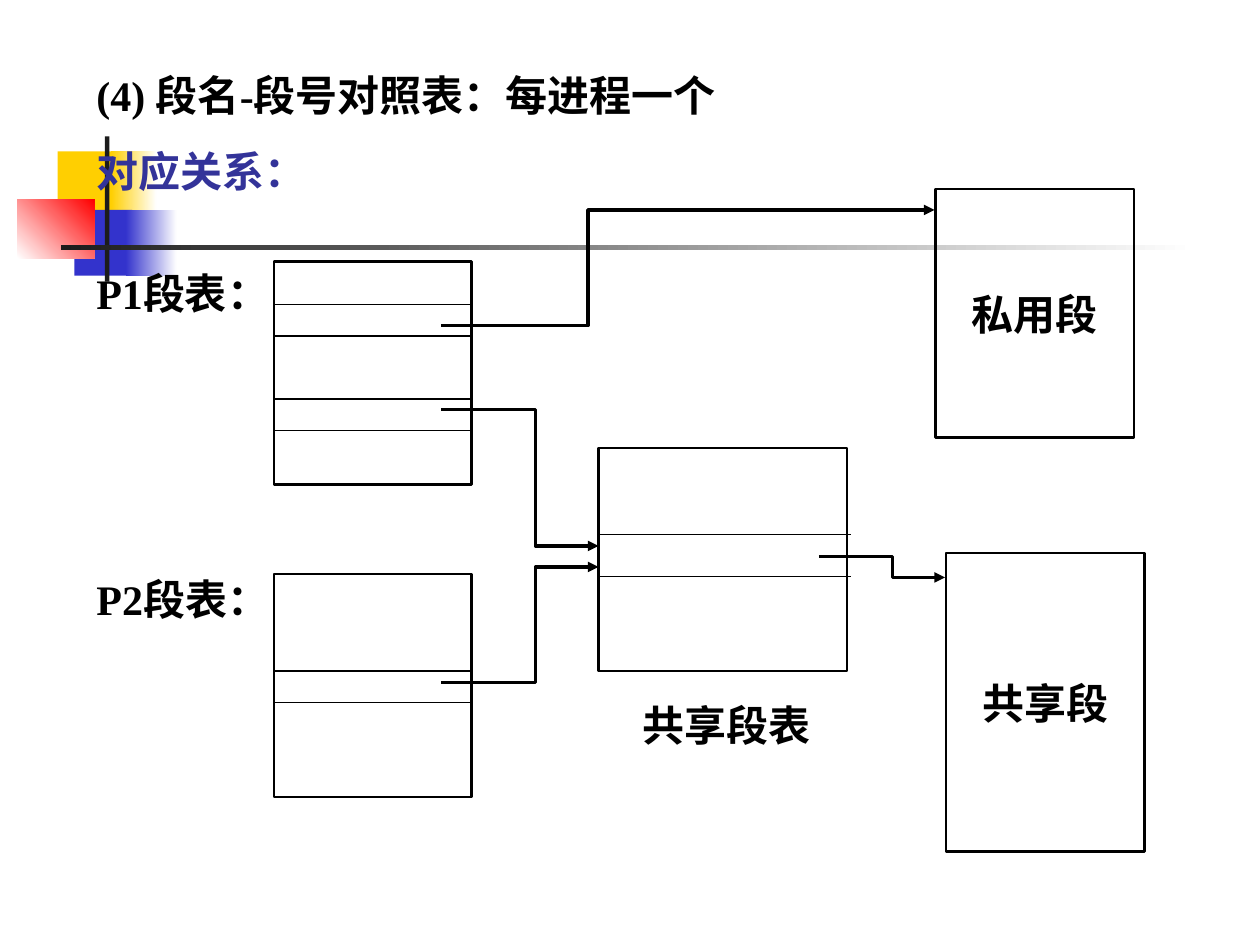
from dataclasses import dataclass

from lxml import etree
from pptx import Presentation
from pptx import util as u
from pptx.dml.color import RGBColor
from pptx.enum import shapes as sh, text as tx
from pptx.oxml.ns import qn

Pt = u.Pt


@dataclass(frozen=True)
class Theme:
    """Colours, font and sizes of the slide."""
    ink: str = "000000"
    head: str = "333399"
    gold: str = "FFCF01"
    blue: str = "3333CC"
    red: str = "FF0000"
    dark: str = "1C1C1C"
    white: str = "FFFFFF"
    font: str = "Times New Roman"
    size: float = 24
    gap: float = 15
    thin: float = 0.75
    edge: float = 1.5
    bold: float = 2


T = Theme()


def rgb(code):
    """Turn a hex code into a colour."""
    return RGBColor.from_string(code)


def rect(slide, box):
    """Add a plain rectangle without shadow."""
    shape = slide.shapes.add_shape(sh.MSO_SHAPE.RECTANGLE, *map(Pt, box))
    shape.shadow.inherit = False
    return shape


def block(slide, box, tint, fade=None, turn=0):
    """Add a borderless block, solid or fading between two colours."""
    shape = rect(slide, box)
    shape.line.fill.background()
    if fade is None:
        shape.fill.solid()
        shape.fill.fore_color.rgb = rgb(tint)
        return
    shape.fill.gradient()
    shape.fill.gradient_angle = turn
    for stop, code, place in zip(shape.fill.gradient_stops, (tint, fade), (0, 1)):
        stop.color.rgb = rgb(code)
        stop.position = place


def decor(slide, x, y):
    """Place the coloured blocks and the two crossing bars."""
    block(slide, (x + 23, y + 8.5, 34.5, 37.5), T.gold)
    block(slide, (x + 53.5, y + 8.5, 26, 37.5), T.gold, T.white)
    block(slide, (x + 32.5, y + 42, 33, 37.5), T.blue)
    block(slide, (x + 62, y + 42, 29, 37.5), T.blue, T.white)
    block(slide, (x, y + 36, 44, 33.5), T.white, T.red, 45)
    block(slide, (x + 50, y, 2.5, 83), T.dark)
    block(slide, (x + 25, y + 62.25, 648, 2.5), T.dark, T.white)


def write(frame, lines, align=None):
    """Fill a text frame with one run for each line."""
    for i, (words, tint) in enumerate(lines):
        para = frame.add_paragraph() if i else frame.paragraphs[0]
        if i:
            para.space_before = Pt(T.gap)
        para.alignment = align
        run = para.add_run()
        run.text = words
        font = run.font
        font.name, font.size, font.bold = T.font, Pt(T.size), True
        font.color.rgb = rgb(tint)


def label(slide, box, *lines):
    """Add a wrapping text box."""
    frame = slide.shapes.add_textbox(*map(Pt, box)).text_frame
    frame.word_wrap = True
    frame.auto_size = tx.MSO_AUTO_SIZE.SHAPE_TO_FIT_TEXT
    write(frame, lines)


def frame(slide, box):
    """Add an unfilled outlined box."""
    shape = rect(slide, box)
    shape.fill.background()
    shape.line.color.rgb = rgb(T.ink)
    shape.line.width = Pt(T.edge)
    return shape


def table(slide, box, rows, over=0):
    """Add a segment table with rules at the given depths."""
    frame(slide, box)
    x, y, wide, _ = box
    for row in rows:
        line = slide.shapes.add_connector(
            sh.MSO_CONNECTOR.STRAIGHT,
            Pt(x), Pt(y + row), Pt(x + wide + over), Pt(y + row))
        line.line.color.rgb = rgb(T.ink)
        line.line.width = Pt(T.thin)
        etree.SubElement(line._element.spPr, qn("a:effectLst"))


def segment(slide, box, name):
    """Add a memory segment with its name in the middle."""
    body = frame(slide, box).text_frame
    body.word_wrap = False
    body.vertical_anchor = tx.MSO_ANCHOR.MIDDLE
    write(body, [(name, T.ink)], tx.PP_ALIGN.CENTER)


def arrow(slide, start, bend, end):
    """Add an elbow arrow that turns at one x position."""
    (x, y), (far, low) = start, end
    path = slide.shapes.build_freeform(Pt(x), Pt(y))
    path.add_line_segments(
        [(Pt(a), Pt(b)) for a, b in ((bend, y), (bend, low), (far, low))],
        close=False)
    shape = path.convert_to_shape()
    shape.shadow.inherit = False
    shape.fill.background()
    shape.line.color.rgb = rgb(T.ink)
    shape.line.width = Pt(T.bold)
    tail = etree.SubElement(shape.line._get_or_add_ln(), qn("a:tailEnd"))
    tail.set("type", "triangle")


def diagram(slide, x, y):
    """Place the segment tables, the segments and their arrows."""
    table(slide, (x + 108.5, y, 113, 127.5), (24.5, 42.5, 78.5, 96.5))
    table(slide, (x + 108.5, y + 178.5, 113, 127.5), (55.5, 73.5))
    table(slide, (x + 294, y + 106.5, 142, 127.5), (49.5, 73.5), 2)
    segment(slide, (x + 486.5, y - 41.5, 113.5, 142), "私用段")
    segment(slide, (x + 492.5, y + 166.5, 113.5, 170.5), "共享段")
    label(slide, (x + 312, y + 246.5, 120, 36), ("共享段表", T.ink))
    label(slide, (x, y, 102, 36), ("P1段表：", T.ink))
    label(slide, (x, y + 174.5, 96, 36), ("P2段表：", T.ink))
    for start, bend, end in (
            ((204, 36.5), 288, (486, -29.5)),
            ((204, 84.5), 258, (294, 162.5)),
            ((204, 240.5), 258, (294, 174.5)),
            ((420, 168.5), 462, (492, 180.5))):
        arrow(slide, (x + start[0], y + start[1]), x + bend,
              (x + end[0], y + end[1]))


def main():
    """Build and save the slide."""
    deck = Presentation()
    deck.slide_width, deck.slide_height = Pt(720), Pt(540)
    slide = deck.slides.add_slide(deck.slide_layouts[6])
    decor(slide, 10, 78)
    label(slide, (48, 36, 504, 80),
          ("(4) 段名-段号对照表：每进程一个", T.ink), ("对应关系：", T.head))
    diagram(slide, 48, 149.5)
    deck.save("out.pptx")


if __name__ == "__main__":
    main()
